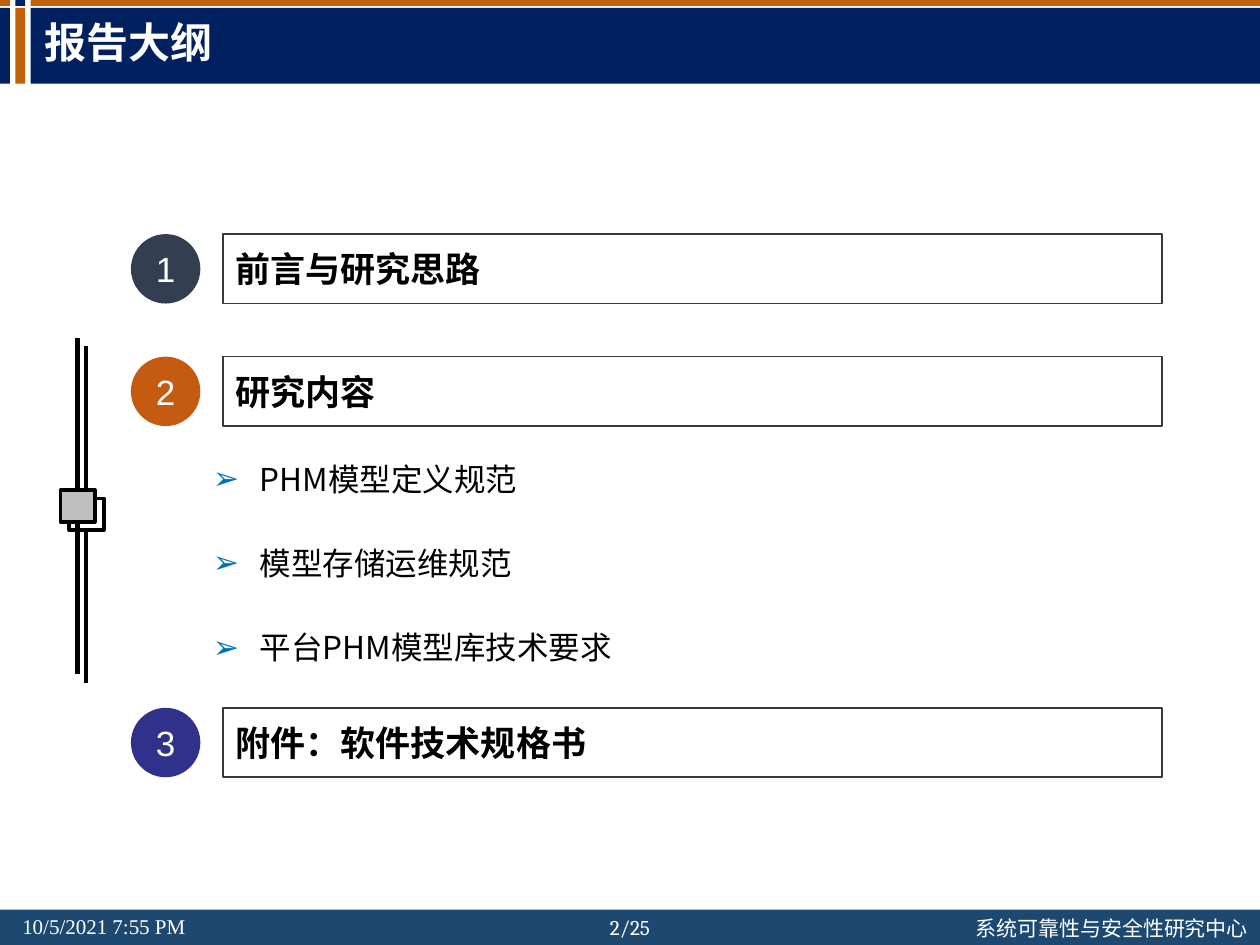
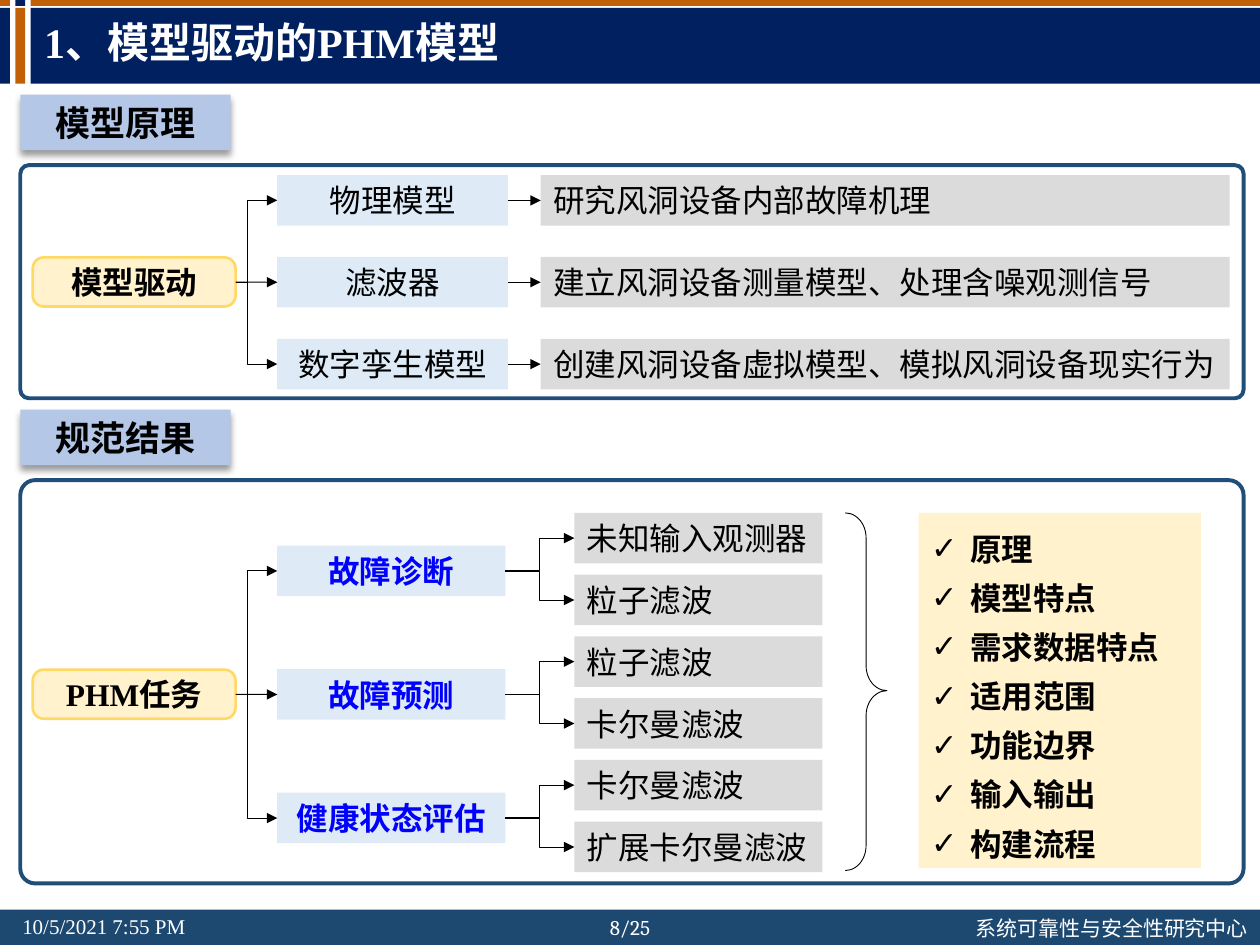
import pptx
import pptx.util
import pptx.dml.color
import pptx.enum.shapes
import pptx.enum.text
import pptx.oxml
import pptx.oxml.ns

Cm = pptx.util.Cm
Pt = pptx.util.Pt
SHAPE = pptx.enum.shapes.MSO_SHAPE
CONNECTOR = pptx.enum.shapes.MSO_CONNECTOR
ALIGN = pptx.enum.text.PP_ALIGN
ANCHOR = pptx.enum.text.MSO_ANCHOR
qn = pptx.oxml.ns.qn

NAVY, ORANGE, FOOTER = "002060", "C16007", "1D4971"
WHITE, BLACK, BLUE = "FFFFFF", "000000", "0000FF"
CREAM, GOLD, SKY, GREY = "FFF2CC", "FFD966", "DEEBF7", "DBDBDB"
SERIF, SANS, CJK = "Times New Roman", "Arial", "Noto Sans CJK SC"
LEFT, RIGHT = 1, 3
SLIDE_WIDTH, SLIDE_HEIGHT = 25.4, 19.05


def rgb(value):
    return pptx.dml.color.RGBColor.from_string(value)


def append_xml(parent, tag, **attributes):
    child = pptx.oxml.parse_xml(f"<{tag} {pptx.oxml.ns.nsdecls('a')}/>")
    for key, value in attributes.items():
        child.set(key, str(value))
    parent.append(child)
    return child


def add_bullet(paragraph, mark, margin, hanging, color):
    properties = paragraph._p.get_or_add_pPr()
    properties.set("marL", str(Cm(margin)))
    properties.set("indent", str(-Cm(hanging)))
    append_xml(append_xml(properties, "a:buClr"), "a:srgbClr", val=color)
    append_xml(properties, "a:buFont", typeface=SANS)
    append_xml(properties, "a:buChar", char=mark)


def write(shape, lines, size, color, font=SERIF, bold=False, align=ALIGN.LEFT,
          anchor=ANCHOR.MIDDLE, spacing=None, bullet=None, wrap=True, inset=0.25):
    frame = shape.text_frame
    frame.word_wrap = wrap
    frame.vertical_anchor = anchor
    frame.margin_left = frame.margin_right = Cm(inset)
    for index, line in enumerate(lines):
        paragraph = frame.add_paragraph() if index else frame.paragraphs[0]
        paragraph.alignment = align
        if spacing:
            paragraph.line_spacing = spacing
        if bullet:
            add_bullet(paragraph, *bullet)
        run = paragraph.add_run()
        run.text = line
        run.font.size = Pt(size)
        run.font.bold = bold
        run.font.name = font
        run.font.color.rgb = rgb(color)
        append_xml(run._r.get_or_add_rPr(), "a:ea", typeface=CJK)


def add_box(slide, kind, box, fill=None, line=None, width=1):
    shape = slide.shapes.add_shape(kind, *map(Cm, box))
    shape.shadow.inherit = False
    if fill:
        shape.fill.solid()
        shape.fill.fore_color.rgb = rgb(fill)
    else:
        shape.fill.background()
    if line:
        shape.line.color.rgb = rgb(line)
        shape.line.width = Pt(width)
    else:
        shape.line.fill.background()
    return shape


def add_text(slide, box, lines, size, color, **style):
    write(slide.shapes.add_textbox(*map(Cm, box)), lines, size, color, **style)


def add_line(slide, kind, start, end, width):
    line = slide.shapes.add_connector(kind, *map(Cm, (*start, *end)))
    line.line.color.rgb = rgb(BLACK)
    line.line.width = Pt(width)
    append_xml(line._element.spPr, "a:effectLst")
    return line


def add_arrow(slide, source, target, bend=None):
    kind = CONNECTOR.STRAIGHT if bend is None else CONNECTOR.ELBOW
    arrow = add_line(slide, kind, (0, 0), (1, 1), 0.5)
    arrow.begin_connect(source, RIGHT)
    arrow.end_connect(target, LEFT)
    append_xml(arrow.line._get_or_add_ln(), "a:tailEnd", type="triangle")
    if bend is not None:
        guides = arrow._element.spPr.find(qn("a:prstGeom")).get_or_add_avLst()
        append_xml(guides, "a:gd", name="adj1", fmla=f"val {round(bend * 100000)}")


def add_shadow(shape):
    effects = shape._element.spPr.find(qn("a:effectLst"))
    shadow = append_xml(effects, "a:outerShdw", blurRad=Pt(4), dist=Pt(3),
                        dir=5400000, algn="t", rotWithShape=0)
    append_xml(append_xml(shadow, "a:srgbClr", val=BLACK), "a:alpha", val=40000)


def add_header(slide, title, font):
    columns = [(0, 0.2, ORANGE, NAVY), (0.31, 0.2, NAVY, ORANGE),
               (0.62, SLIDE_WIDTH - 0.62, ORANGE, NAVY)]
    for left, width, strip, band in columns:
        add_box(slide, SHAPE.RECTANGLE, (left, 0, width, 0.12), strip)
        add_box(slide, SHAPE.RECTANGLE, (left, 0.16, width, 1.53), band)
    add_text(slide, (0.64, 0.15, 22.53, 1.52), [title], 24, WHITE, font=font,
             bold=True, spacing=0.9)


def add_footer(slide, page):
    top = SLIDE_HEIGHT - 0.71
    add_box(slide, SHAPE.RECTANGLE, (0, top, SLIDE_WIDTH, 0.71), FOOTER)
    parts = [(0.45, -0.05, 4, "10/5/2021 7:55 PM", SERIF, ALIGN.LEFT),
             (19.66, 0, 5.74, "系统可靠性与安全性研究中心", CJK, ALIGN.LEFT),
             (11.81, -0.03, 1.78, page, "Cambria", ALIGN.CENTER)]
    for left, shift, width, words, font, align in parts:
        add_text(slide, (left, top + shift, width, 0.76), [words], 12, WHITE,
                 font=font, align=align, anchor=ANCHOR.TOP, inset=0)


def start_slide(deck, title, font, page):
    slide = deck.slides.add_slide(deck.slide_layouts[6])
    add_header(slide, title, font)
    add_footer(slide, page)
    return slide


def add_rail(slide, left, top, knob_fill):
    add_line(slide, CONNECTOR.STRAIGHT, (left + 0.34, top),
             (left + 0.34, top + 6.78), 2.5)
    add_box(slide, SHAPE.RECTANGLE, (left, top + 3.07, 0.69, 0.64),
            knob_fill, BLACK, 2.25)


def add_chapter(slide, left, top, number, name, color):
    bar = add_box(slide, SHAPE.RECTANGLE, (left + 1.86, top, 18.92, 1.4),
                  line="3B3838")
    write(bar, [name], 20, BLACK, font=SANS, bold=True)
    badge = add_box(slide, SHAPE.OVAL, (left, top, 1.4, 1.4), color)
    write(badge, [str(number)], 20, WHITE, font=SANS, align=ALIGN.CENTER)


def build_outline(deck):
    slide = start_slide(deck, "报告大纲", "Cambria", "2/25")
    add_rail(slide, 1.4, 6.98, WHITE)
    add_rail(slide, 1.22, 6.81, "BFBFBF")
    chapters = [(4.72, "前言与研究思路", "333F50"),
                (7.19, "研究内容", "C55A11"),
                (14.27, "附件：软件技术规格书", "2F318B")]
    for number, (top, name, color) in enumerate(chapters, 1):
        add_chapter(slide, 2.64, top, number, name, color)
    topics = ["PHM模型定义规范", "模型存储运维规范", "平台PHM模型库技术要求"]
    for index, topic in enumerate(topics):
        add_text(slide, (4.04, 9.14 + 1.7 * index, 8.76, 1.02), [topic], 18, BLACK,
                 font=CJK, anchor=ANCHOR.TOP, bullet=("➢", 0.95, 0.95, "0070C0"))


def add_section(slide, left, top, height, heading):
    tag = add_box(slide, SHAPE.RECTANGLE, (left, top, 4.24, 1.12), "B4C7E7")
    add_shadow(tag)
    write(tag, [heading], 20, BLACK, bold=True, align=ALIGN.CENTER)
    panel = add_box(slide, SHAPE.ROUNDED_RECTANGLE, (left, top + 1.42, 24.66, height),
                    line="1F4E79", width=2.25)
    panel.adjustments[0] = 0.037
    return left, top + 1.42


def add_cell(slide, box, words, fill, color=BLACK, bold=False, align=ALIGN.LEFT):
    cell = add_box(slide, SHAPE.RECTANGLE, (*box, 1.02), fill)
    write(cell, [words], 18, color, bold=bold, align=align)
    return cell


def add_tree(slide, left, top, step, width, root_name, branch_names, color, bold):
    root = add_box(slide, SHAPE.ROUNDED_RECTANGLE,
                   (left + 0.25, top + step + 0.01, 4.09, 0.99), CREAM, GOLD, 1.5)
    root.adjustments[0] = 0.225
    write(root, [root_name], 18, BLACK, bold=True, align=ALIGN.CENTER)
    branches = [add_cell(slide, (left + 5.18, top + step * row, width), name, SKY,
                         color, bold, ALIGN.CENTER)
                for row, name in enumerate(branch_names)]
    for row, branch in enumerate(branches):
        add_arrow(slide, root, branch, None if row == 1 else 0.28)
    return branches


def add_principles(slide, left, top):
    first, step = top + 0.2, 1.65
    principles = {"物理模型": "研究风洞设备内部故障机理",
                  "滤波器": "建立风洞设备测量模型、处理含噪观测信号",
                  "数字孪生模型": "创建风洞设备虚拟模型、模拟风洞设备现实行为"}
    models = add_tree(slide, left, first, step, 4.65, "模型驱动", principles,
                      BLACK, False)
    for row, (model, words) in enumerate(zip(models, principles.values())):
        purpose = add_cell(slide, (left + 10.49, first + step * row, 13.89), words, GREY)
        add_arrow(slide, model, purpose)


def add_results(slide, left, top):
    first, step = top + 0.66, 2.49
    methods = {"故障诊断": ["未知输入观测器", "粒子滤波"],
               "故障预测": ["粒子滤波", "卡尔曼滤波"],
               "健康状态评估": ["卡尔曼滤波", "扩展卡尔曼滤波"]}
    tasks = add_tree(slide, left, first + 0.66, step, 4.6, "PHM任务", methods,
                     BLUE, True)
    for row, (task, names) in enumerate(zip(tasks, methods.values())):
        for half, name in enumerate(names):
            method = add_cell(slide, (left + 11.17, first + step * (row + half / 2), 5),
                              name, GREY)
            add_arrow(slide, task, method, 0.5)
    brace = add_box(slide, SHAPE.RIGHT_BRACE, (left + 16.63, first, 0.84, 7.21),
                    line=BLACK, width=0.5)
    brace.adjustments[0], brace.adjustments[1] = 0.6, 0.497
    contents = add_box(slide, SHAPE.RECTANGLE, (left + 18.11, first, 5.69, 7.16), CREAM)
    write(contents, ["原理", "模型特点", "需求数据特点", "适用范围", "功能边界",
                     "输入输出", "构建流程"], 18, BLACK, bold=True, spacing=1.3,
          bullet=("✓", 0.79, 0.89, BLACK))


def build_model_driven(deck):
    slide = start_slide(deck, "1、模型驱动的PHM模型", SERIF, "8/25")
    add_principles(slide, *add_section(slide, 0.41, 1.91, 4.7, "模型原理"))
    add_results(slide, *add_section(slide, 0.41, 8.26, 8.13, "规范结果"))


def main():
    deck = pptx.Presentation()
    deck.slide_width, deck.slide_height = Cm(SLIDE_WIDTH), Cm(SLIDE_HEIGHT)
    build_outline(deck)
    build_model_driven(deck)
    deck.save("out.pptx")


if __name__ == "__main__":
    main()
